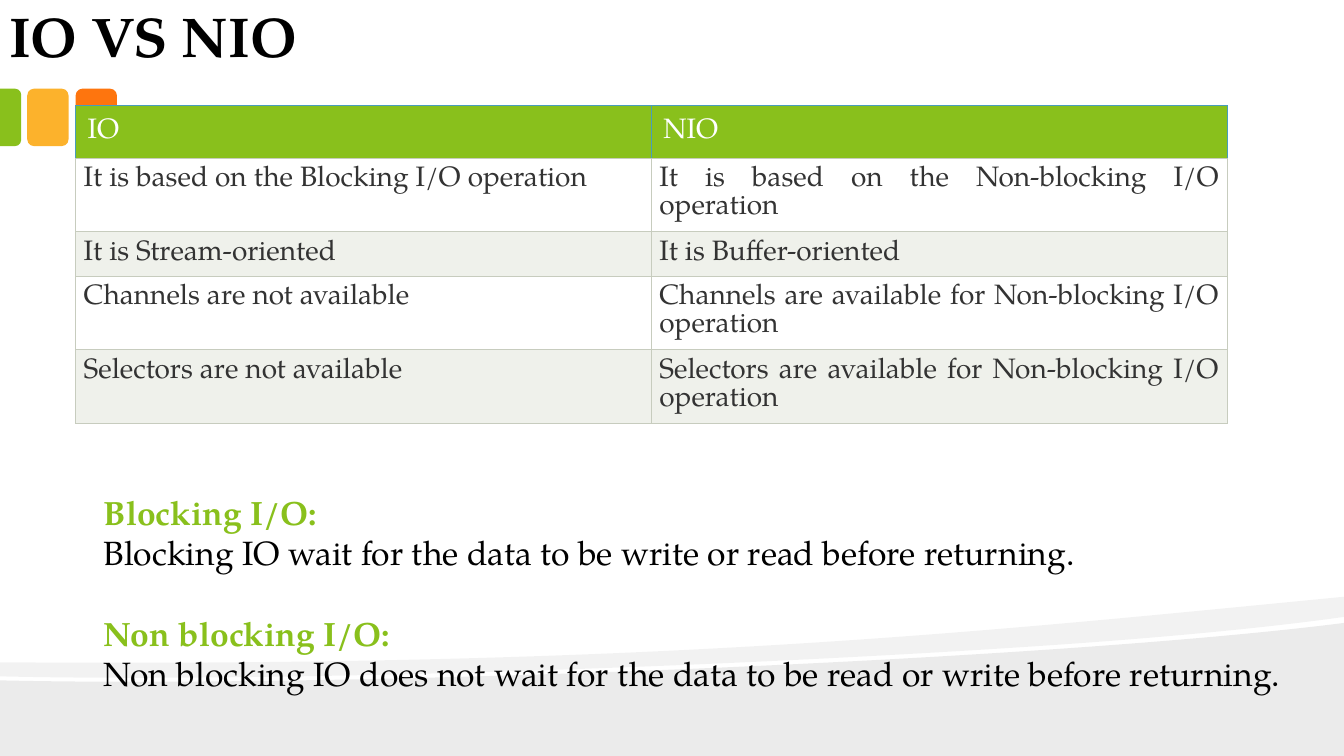
from lxml import etree
from pptx import Presentation
from pptx.dml.color import RGBColor
from pptx.enum.shapes import MSO_SHAPE
from pptx.enum.text import MSO_ANCHOR, MSO_AUTO_SIZE, PP_ALIGN
from pptx.oxml.ns import qn
from pptx.util import Inches, Pt

BLACK = RGBColor(0x00, 0x00, 0x00)
WHITE = RGBColor(0xFF, 0xFF, 0xFF)
GREEN = RGBColor(0x89, 0xC0, 0x1C)
AMBER = RGBColor(0xFC, 0xB2, 0x2C)
ORANGE = RGBColor(0xFE, 0x75, 0x0E)
BODY = RGBColor(0x33, 0x33, 0x33)
BAND = RGBColor(0xEF, 0xF1, 0xEB)
GRID = RGBColor(0xC7, 0xCC, 0xBE)
HEAD_LINE = RGBColor(0x48, 0x9D, 0xBB)
ROUND, HALF_ROUND = MSO_SHAPE.ROUNDED_RECTANGLE, MSO_SHAPE.ROUND_2_SAME_RECTANGLE
LEFT, JUSTIFY = PP_ALIGN.LEFT, PP_ALIGN.JUSTIFY
TOP, BOTTOM = MSO_ANCHOR.TOP, MSO_ANCHOR.BOTTOM
NO_FIT, GROW = MSO_AUTO_SIZE.NONE, MSO_AUTO_SIZE.SHAPE_TO_FIT_TEXT

ROWS = [
    ("IO", "NIO"),
    ("It is based on the Blocking I/O operation",
     "It is based on the Non-blocking I/O operation"),
    ("It is Stream-oriented", "It is Buffer-oriented"),
    ("Channels are not available",
     "Channels are available for Non-blocking I/O operation"),
    ("Selectors are not available",
     "Selectors are available for Non-blocking I/O operation"),
]
ROW_HEIGHTS = [0.52, 0.73, 0.44, 0.73, 0.73]
NOTES = [
    ("Blocking I/O:",
     "Blocking IO wait for the data to be write or read before returning."),
    ("Non blocking I/O:",
     "Non blocking IO does not wait for the data to be read or write before returning."),
]
LOWER_WAVE = [(13.33, 6.18), (13.33, 7.5), (0, 7.5), (0, 6.75),
              (3.52, 6.83), (10.42, 6.55), (13.33, 6.18)]
UPPER_WAVE = [(13.33, 5.92), (13.33, 6.12),
              (12.55, 6.23), (11.49, 6.33), (10.29, 6.41),
              (6.98, 6.63), (2.58, 6.77), (0, 6.71),
              (0, 6.57), (6.52, 6.62), (9.71, 6.27), (13.33, 5.92)]


class Deck:
    font = "TeX Gyre Pagella"

    def __init__(self):
        self.prs = Presentation()
        self.prs.slide_width, self.prs.slide_height = Inches(13.33), Inches(7.5)
        self.s = self.prs.slides.add_slide(self.prs.slide_layouts[5])

    def paint(self, sp, color, alpha=None):
        sp.shadow.inherit = False
        sp.fill.solid()
        sp.fill.fore_color.rgb = color
        sp.line.fill.background()
        if alpha:
            clr = sp.fill._xPr.find(".//" + qn("a:srgbClr"))
            etree.SubElement(clr, qn("a:alpha"), val=str(alpha * 1000))

    def wave(self, points, curve_starts, alpha):
        grid = [(round(x * 100), round(y * 100)) for x, y in points]
        fb = self.s.shapes.build_freeform(*grid[0], scale=Inches(0.01))
        fb.add_line_segments(grid[1:], close=True)
        sp = fb.convert_to_shape()
        segments = list(sp._element.iter(qn("a:lnTo")))
        for start in curve_starts:
            first, *others = segments[start - 1:start + 2]
            bend = etree.Element(qn("a:cubicBezTo"))
            first.addprevious(bend)
            for segment in (first, *others):
                bend.append(segment[0])
                segment.getparent().remove(segment)
        self.paint(sp, BLACK, alpha)

    def tab(self, kind, left, top, width, height, color):
        sp = self.s.shapes.add_shape(kind, *map(Inches, (left, top, width, height)))
        self.paint(sp, color)
        return sp

    def style(self, p, size, color, bold=False, align=LEFT):
        p.alignment = align
        f = p.font
        f.name, f.size, f.bold = self.font, Pt(size), bold
        f.color.rgb = color

    def title(self, text, left, top, width, height):
        sp = self.s.shapes.title
        sp.left, sp.top, sp.width, sp.height = map(Inches, (left, top, width, height))
        tf = sp.text_frame
        tf.text = text
        tf.auto_size, tf.vertical_anchor = NO_FIT, BOTTOM
        tf.margin_left = tf.margin_right = Inches(0.13)
        tf.margin_top = tf.margin_bottom = Inches(0.07)
        self.style(tf.paragraphs[0], 40, BLACK, True)

    def cell(self, cell, text, fill, color, margin, align, edge):
        cell.text = text
        cell.vertical_anchor = TOP
        cell.margin_left = cell.margin_right = Inches(margin)
        cell.margin_top = cell.margin_bottom = Inches(margin)
        self.style(cell.text_frame.paragraphs[0], 20, color, align=align)
        tc_pr = cell._tc.get_or_add_tcPr()
        for side in ("lnL", "lnR", "lnT", "lnB"):
            ln = etree.SubElement(tc_pr, qn("a:" + side), w=str(Pt(0.75)))
            line_fill = etree.SubElement(ln, qn("a:solidFill"))
            rgb = GRID if side == "lnB" else edge
            etree.SubElement(line_fill, qn("a:srgbClr"), val=str(rgb))
        cell.fill.solid()
        cell.fill.fore_color.rgb = fill

    def table(self, rows, heights, left, top, width):
        box = map(Inches, (left, top, width, sum(heights)))
        table = self.s.shapes.add_table(len(rows), len(rows[0]), *box).table
        for i, row in enumerate(rows):
            table.rows[i].height = Inches(heights[i])
            for j, text in enumerate(row):
                if i == 0:
                    look = (GREEN, WHITE, 0.12, LEFT, HEAD_LINE)
                else:
                    look = (WHITE if i % 2 else BAND, BODY, 0.08, JUSTIFY, GRID)
                self.cell(table.cell(i, j), text, *look)

    def notes(self, pairs, left, top, width, height):
        sp = self.s.shapes.add_textbox(*map(Inches, (left, top, width, height)))
        tf = sp.text_frame
        tf.word_wrap, tf.auto_size = True, GROW
        for i, (heading, text) in enumerate(pairs):
            p = tf.add_paragraph() if i else tf.paragraphs[0]
            p.text = heading
            if i:
                p.space_before = Pt(29)
            self.style(p, 24, GREEN, True)
            p = tf.add_paragraph()
            p.text = text
            self.style(p, 24, BLACK)


def main():
    deck = Deck()
    deck.title("IO VS NIO", -0.04, -0.08, 10.37, 0.83)
    deck.wave(LOWER_WAVE, [4], 8)
    deck.wave(UPPER_WAVE, [2, 5, 9], 5)
    for left, color in ((0.75, ORANGE), (0.27, AMBER)):
        deck.tab(ROUND, left, 0.88, 0.41, 0.57, color)
    edge_tab = deck.tab(HALF_ROUND, -0.18, 1.06, 0.57, 0.21, GREEN)
    edge_tab.rotation = 90
    edge_tab.adjustments[0] = 0.29
    deck.table(ROWS, ROW_HEIGHTS, 0.75, 1.05, 11.42)
    deck.notes(NOTES, 0.93, 4.83, 12.27, 2.12)
    deck.prs.save("out.pptx")


if __name__ == "__main__":
    main()
